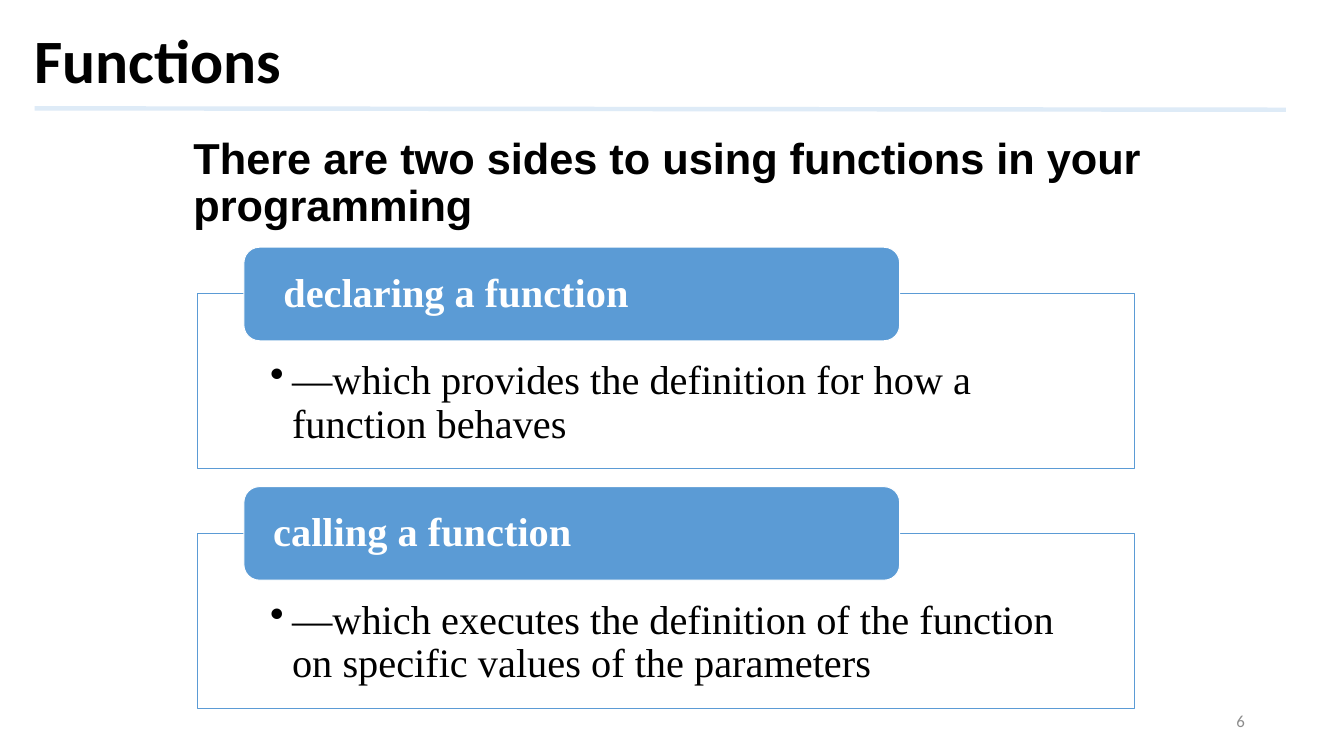
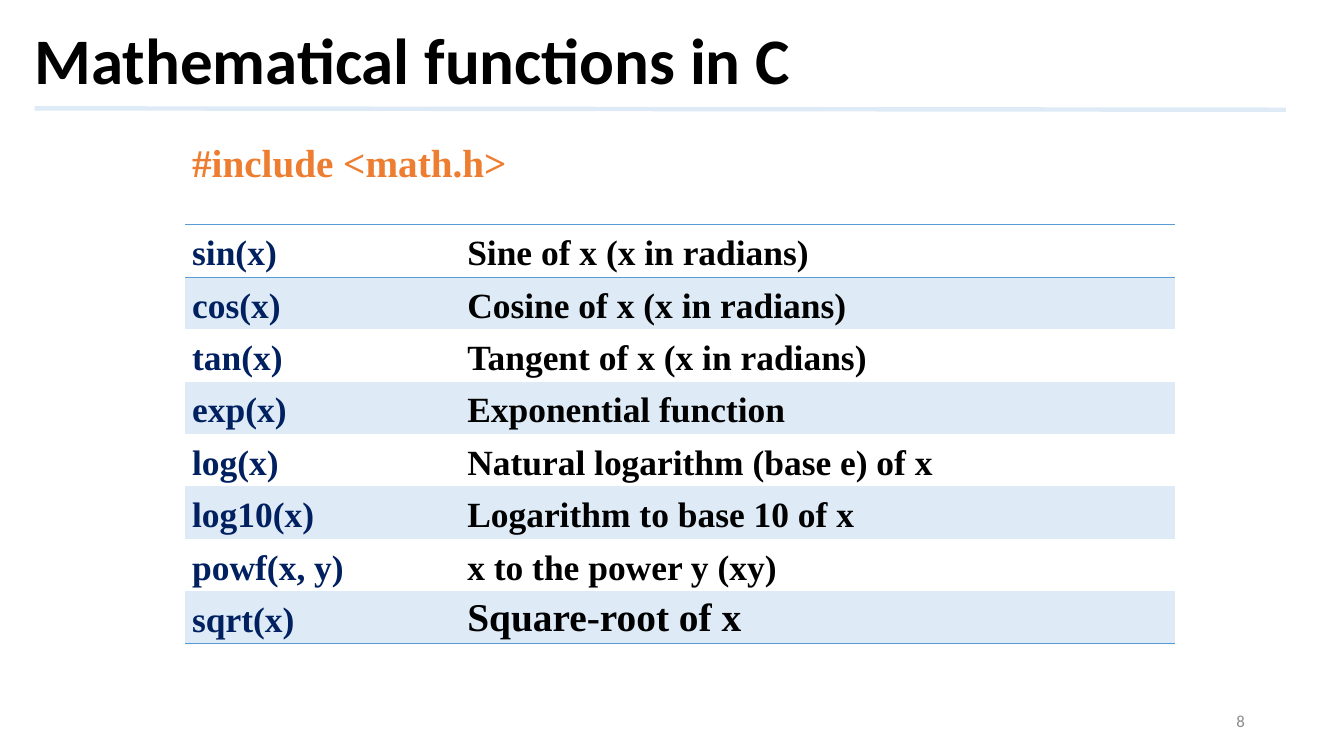
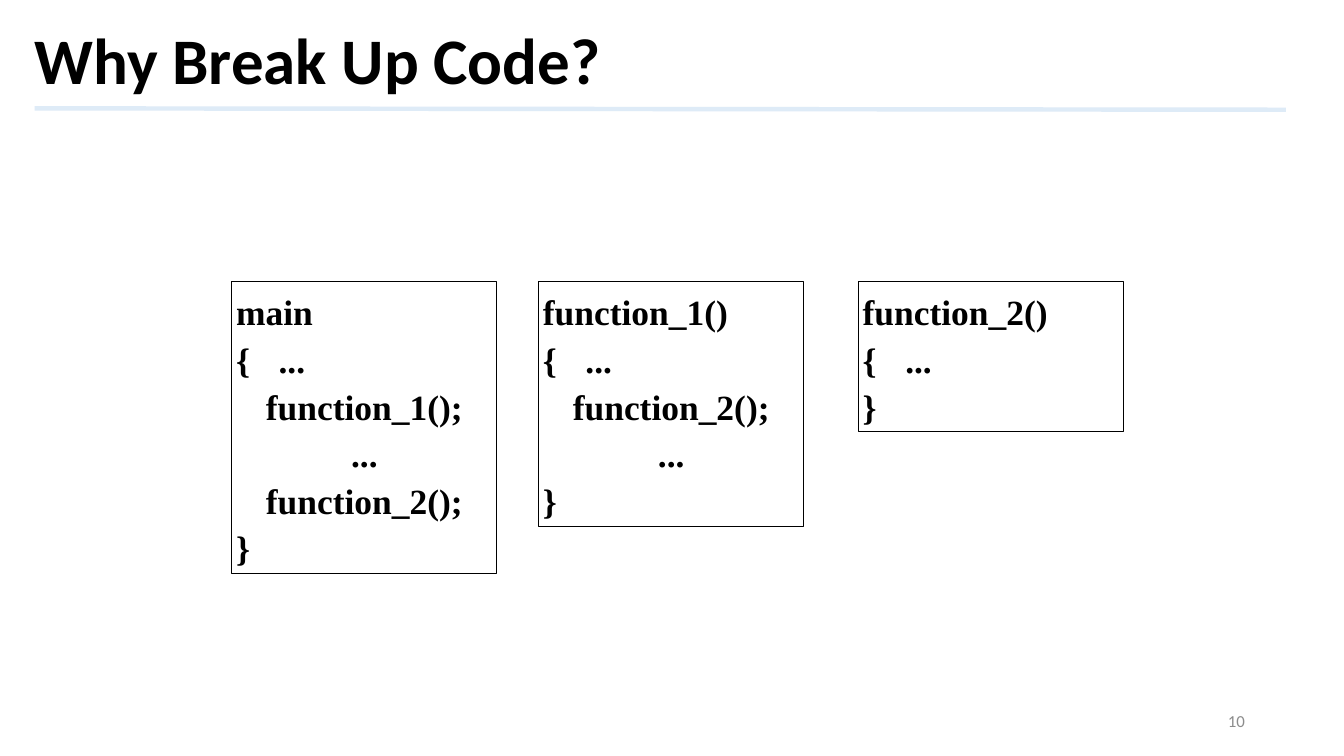
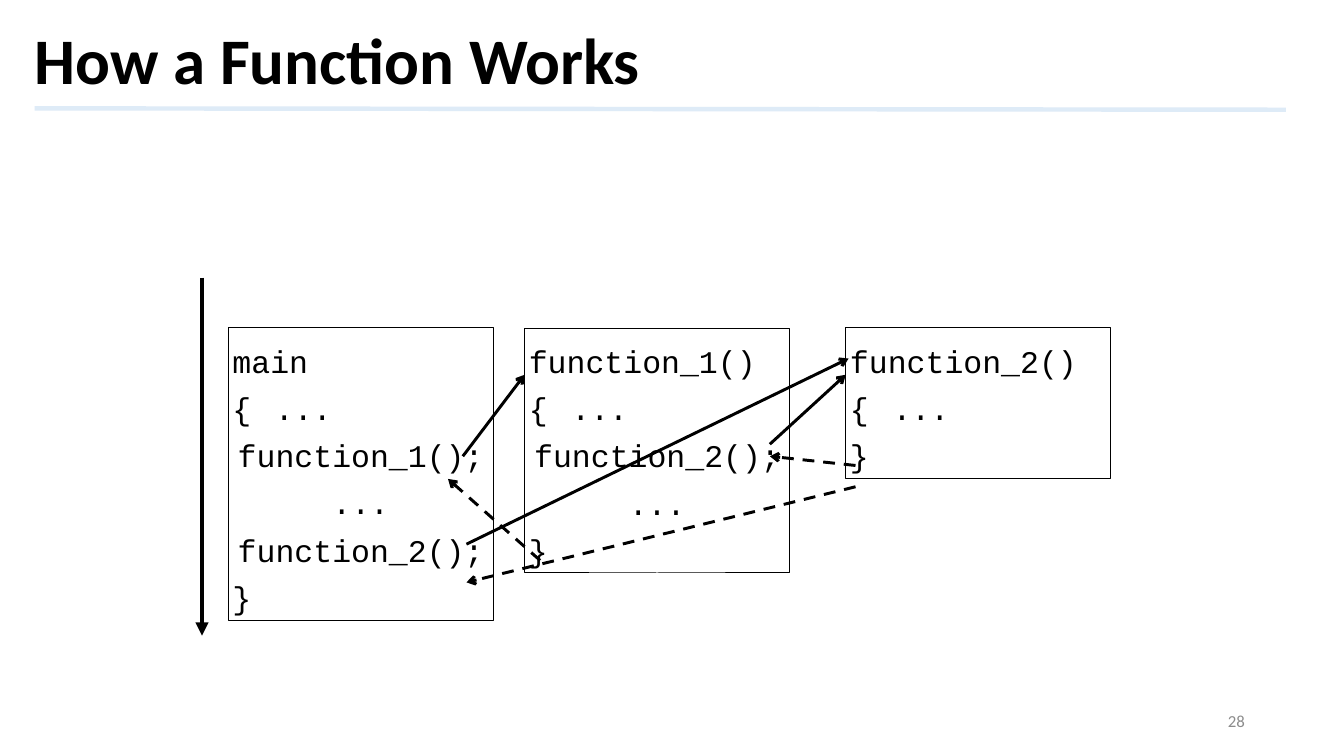
from dataclasses import dataclass
from typing import NamedTuple

from lxml import etree
from pptx import Presentation
from pptx.dml.color import RGBColor
from pptx.enum.dml import MSO_LINE
from pptx.enum.shapes import MSO_CONNECTOR, MSO_SHAPE
from pptx.enum.text import MSO_ANCHOR, PP_ALIGN
from pptx.oxml.ns import qn
from pptx.util import Emu, Inches, Pt

WIDTH, HEIGHT = Inches(18.96), Inches(10.67)
COLUMNS, ROWS = 96, 54  # every place on a slide is given in these grid units

COLORS = {
    "ink": "000000",
    "paper": "FFFFFF",
    "blue": "5B9BD5",
    "pale": "DEEBF7",
    "navy": "002060",
    "orange": "ED7D31",
    "gray": "8C8C8C",
}
SANS, TITLE_FONT, SERIF, MONO = "Arial", "Calibri", "Times New Roman", "Courier New"
RECT, ROUNDED = MSO_SHAPE.RECTANGLE, MSO_SHAPE.ROUNDED_RECTANGLE
STRAIGHT, DASH = MSO_CONNECTOR.STRAIGHT, MSO_LINE.DASH
TOP, MIDDLE = MSO_ANCHOR.TOP, MSO_ANCHOR.MIDDLE
LEFT, CENTER, RIGHT = PP_ALIGN.LEFT, PP_ALIGN.CENTER, PP_ALIGN.RIGHT
PLAIN_TABLE = "{2D5ABB26-0587-4C30-8999-92F81FD0307C}"


class Area(NamedTuple):
    col: float
    row: float
    cols: float
    rows: float


class Point(NamedTuple):
    col: float
    row: float


@dataclass(frozen=True)
class Style:
    size: float
    font: str = SERIF
    color: str = "ink"
    bold: bool = False
    spacing: float | Pt = 0.9


@dataclass(frozen=True)
class Side:
    """One of the two sides of using functions: its label and what it does."""
    label: str
    meaning: str


@dataclass(frozen=True)
class CodeBlock:
    col: float
    lines: tuple[str, ...]


@dataclass(frozen=True)
class Arrow:
    start: Point
    end: Point
    weight: float = 3
    head: str = "arrow"
    dashed: bool = False


LINE_48 = Pt(48)
LABEL = Style(41, color="paper", bold=True)
MEANING = Style(41)
HEADING = Style(44, SANS, bold=True, spacing=LINE_48)
INCLUDE = Style(39.8, color="orange", bold=True)
PAGE = Style(17.1, TITLE_FONT, "gray", spacing=1.0)
BOLD_CODE = Style(36, bold=True, spacing=LINE_48)
MONO_CODE = Style(32, MONO, spacing=LINE_48)

TITLE_AREA = Area(1.97, 0.3, 94.03, 8.45)
PAGE_AREA = Area(67.8, 50.05, 21.62, 2.88)
RULE = Point(2.48, 7.74), Point(91.85, 7.84)

SIDES = (
    Side(" declaring a function",
         "—which provides the definition for how a function behaves"),
    Side("calling a function",
         "—which executes the definition of the function on specific values of the parameters"),
)
PANEL_AREA = Area(14.08, 21, 66.94, 12.5)
LABEL_AREA = Area(17.42, 17.66, 46.84, 6.68)
SIDE_PITCH = 17.1

MATH_FUNCTIONS = (
    ("sin(x)", "Sine of x (x in radians)"),
    ("cos(x)", "Cosine of x (x in radians)"),
    ("tan(x)", "Tangent of x (x in radians)"),
    ("exp(x)", "Exponential function"),
    ("log(x)", "Natural logarithm (base e) of x"),
    ("log10(x)", "Logarithm to base 10 of x"),
    ("powf(x, y)", "x to the power y (xy)"),
    ("sqrt(x)", "Square-root of x"),
)
TABLE_COLUMNS = (19.65, 51.04)
TABLE_ROW = 3.74

MAIN_CODE = ("main", "{\t...", "function_1();", "...", "function_2();", "}")
FUNCTION_1_CODE = ("function_1()", "{\t...", "function_2();", "...", "}")
FUNCTION_2_CODE = ("function_2()", "{\t...", "}")
CODE_COLS, CODE_LINE, CODE_PADDING = 18.94, 3.37, 0.65

CALLS_AND_RETURNS = (
    Arrow(Point(33.06, 32.59), Point(37.47, 26.77)),
    Arrow(Point(54.99, 31.73), Point(60.41, 26.77)),
    Arrow(Point(33.32, 38.87), Point(60.61, 25.61)),
    Arrow(Point(38.58, 40.03), Point(32, 34.21), dashed=True),
    Arrow(Point(61.11, 33.25), Point(54.99, 32.59), dashed=True),
    Arrow(Point(61.11, 34.77), Point(33.32, 41.6), dashed=True),
)
TIME_ARROW = Arrow(Point(14.43, 19.84), Point(14.43, 45.4), 4.5, "triangle")


def rgb(name: str) -> RGBColor:
    return RGBColor.from_string(COLORS[name])


def across(cols: float) -> Emu:
    return Emu(round(WIDTH * cols / COLUMNS))


def down(rows: float) -> Emu:
    return Emu(round(HEIGHT * rows / ROWS))


def place(area: Area) -> tuple[Emu, Emu, Emu, Emu]:
    return across(area.col), down(area.row), across(area.cols), down(area.rows)


def write(paragraph, text: str, style: Style, align=LEFT) -> None:
    paragraph.alignment = align
    paragraph.line_spacing = style.spacing
    run = paragraph.add_run()
    run.text = text
    run.font.size = Pt(style.size)
    run.font.name = style.font
    run.font.bold = style.bold
    run.font.color.rgb = rgb(style.color)


def set_frame(frame, anchor, insets: tuple[float, float, float, float]) -> None:
    """Set wrapping, anchor and the left, top, right and bottom insets in inches."""
    frame.word_wrap = True
    frame.vertical_anchor = anchor
    (frame.margin_left, frame.margin_top,
     frame.margin_right, frame.margin_bottom) = map(Inches, insets)


def add_text(slide, area: Area, text: str, style: Style, align=LEFT, anchor=MIDDLE) -> None:
    frame = slide.shapes.add_textbox(*place(area)).text_frame
    set_frame(frame, anchor, (0.1, 0.05, 0.1, 0.05))
    write(frame.paragraphs[0], text, style, align)


def add_box(slide, preset, area: Area, fill: str | None, outline: str):
    box = slide.shapes.add_shape(preset, *place(area))
    box.shadow.inherit = False
    if fill:
        box.fill.solid()
        box.fill.fore_color.rgb = rgb(fill)
    else:
        box.fill.background()
    box.line.color.rgb = rgb(outline)
    box.line.width = Pt(1)
    return box


def add_line(slide, start: Point, end: Point, color: str, weight: float):
    line = slide.shapes.add_connector(
        STRAIGHT, across(start.col), down(start.row), across(end.col), down(end.row))
    line.line.color.rgb = rgb(color)
    line.line.width = Pt(weight)
    etree.SubElement(line._element.spPr, qn("a:effectLst"))
    return line


def add_arrow(slide, arrow: Arrow) -> None:
    line = add_line(slide, arrow.start, arrow.end, "ink", arrow.weight)
    if arrow.dashed:
        line.line.dash_style = DASH
    outline = line._element.spPr.find(qn("a:ln"))
    etree.SubElement(outline, qn("a:tailEnd"), type=arrow.head)


def add_slide(deck, title: str, page: int, title_size: float = 66):
    """Add a blank slide with the shared rule, title and page number."""
    slide = deck.slides.add_slide(deck.slide_layouts[6])
    add_line(slide, *RULE, "pale", 4.5)
    add_text(slide, TITLE_AREA, title, Style(title_size, TITLE_FONT, bold=True))
    add_text(slide, PAGE_AREA, str(page), PAGE, RIGHT)
    return slide


def add_bullet(paragraph, hang: float) -> None:
    properties = paragraph._p.get_or_add_pPr()
    properties.set("marL", str(Inches(hang)))
    properties.set("indent", str(-Inches(hang)))
    etree.SubElement(properties, qn("a:buChar"), char="•")


def add_side(slide, side: Side, index: int) -> None:
    shift = index * SIDE_PITCH
    panel = add_box(slide, RECT, PANEL_AREA._replace(row=PANEL_AREA.row + shift), "paper", "blue")
    set_frame(panel.text_frame, TOP, (1.03, 0.93, 1.03, 0.32))
    meaning = panel.text_frame.paragraphs[0]
    add_bullet(meaning, 0.31)
    write(meaning, side.meaning, MEANING)

    label = add_box(slide, ROUNDED, LABEL_AREA._replace(row=LABEL_AREA.row + shift), "blue", "paper")
    set_frame(label.text_frame, MIDDLE, (0.35, 0, 0.35, 0))
    write(label.text_frame.paragraphs[0], side.label, LABEL)


def add_cell_borders(cell, edges: tuple[str, ...]) -> None:
    """Draw thin blue borders on the named edges, given in the order T, B."""
    properties = cell._tc.get_or_add_tcPr()
    for position, edge in enumerate(edges):
        border = etree.Element(qn(f"a:ln{edge}"), w=str(Pt(1)))
        fill = etree.SubElement(border, qn("a:solidFill"))
        etree.SubElement(fill, qn("a:srgbClr"), val=COLORS["blue"])
        properties.insert(position, border)


def add_function_table(slide) -> None:
    count = len(MATH_FUNCTIONS)
    area = Area(13.22, 16.04, sum(TABLE_COLUMNS), TABLE_ROW * count)
    table = slide.shapes.add_table(count, len(TABLE_COLUMNS), *place(area)).table
    table.first_row = table.horz_banding = False
    table._tbl.tblPr.find(qn("a:tableStyleId")).text = PLAIN_TABLE
    for column, cols in zip(table.columns, TABLE_COLUMNS):
        column.width = across(cols)
    for index, texts in enumerate(MATH_FUNCTIONS):
        table.rows[index].height = down(TABLE_ROW)
        last = index == count - 1
        edges = ("T", "B") if index == 0 else ("B",) if last else ()
        styles = (
            Style(36, color="navy", bold=True, spacing=Pt(46)),
            Style(40 if last else 36, bold=True, spacing=Pt(46)),
        )
        for cell, text, style in zip(table.rows[index].cells, texts, styles):
            if index % 2:
                cell.fill.solid()
                cell.fill.fore_color.rgb = rgb("pale")
            else:
                cell.fill.background()
            add_cell_borders(cell, edges)
            write(cell.text_frame.paragraphs[0], text, style)


def add_code(slide, block: CodeBlock, row: float, style: Style) -> None:
    """Draw a code box as high as its lines; statements inside the braces are centred."""
    rows = CODE_LINE * len(block.lines) + CODE_PADDING
    box = add_box(slide, RECT, Area(block.col, row, CODE_COLS, rows), None, "ink")
    frame = box.text_frame
    set_frame(frame, MIDDLE, (0.06, 0.06, 0.06, 0.06))
    for index, line in enumerate(block.lines):
        paragraph = frame.paragraphs[0] if index == 0 else frame.add_paragraph()
        if "\t" in line:
            tabs = etree.SubElement(paragraph._p.get_or_add_pPr(), qn("a:tabLst"))
            etree.SubElement(tabs, qn("a:tab"), pos=str(Inches(0.6)), algn="l")
        inside = 1 < index < len(block.lines) - 1
        write(paragraph, line, style, CENTER if inside else LEFT)


def add_program(slide, lefts: tuple[float, ...], row: float, style: Style) -> None:
    for col, lines in zip(lefts, (MAIN_CODE, FUNCTION_1_CODE, FUNCTION_2_CODE)):
        add_code(slide, CodeBlock(col, lines), row, style)


def main() -> None:
    deck = Presentation()
    deck.slide_width, deck.slide_height = WIDTH, HEIGHT

    functions = add_slide(deck, "Functions", 6, 62.6)
    for index, side in enumerate(SIDES):
        add_side(functions, side, index)
    add_text(functions, Area(13.32, 9.46, 70.68, 7.34),
             "There are two sides to using functions in your programming", HEADING, anchor=TOP)

    mathematics = add_slide(deck, "Mathematical functions in C", 8)
    add_text(mathematics, Area(13.22, 9.51, 30.43, 4.5), "#include <math.h>", INCLUDE)
    add_function_table(mathematics)

    reasons = add_slide(deck, "Why Break Up Code?", 10)
    add_program(reasons, (16.56, 38.48, 61.32), 20.09, BOLD_CODE)

    workings = add_slide(deck, "How a Function Works", 28)
    add_program(workings, (16.3, 37.47, 60.41), 23.43, MONO_CODE)
    for arrow in (*CALLS_AND_RETURNS, TIME_ARROW):
        add_arrow(workings, arrow)

    deck.save("out.pptx")


if __name__ == "__main__":
    main()
